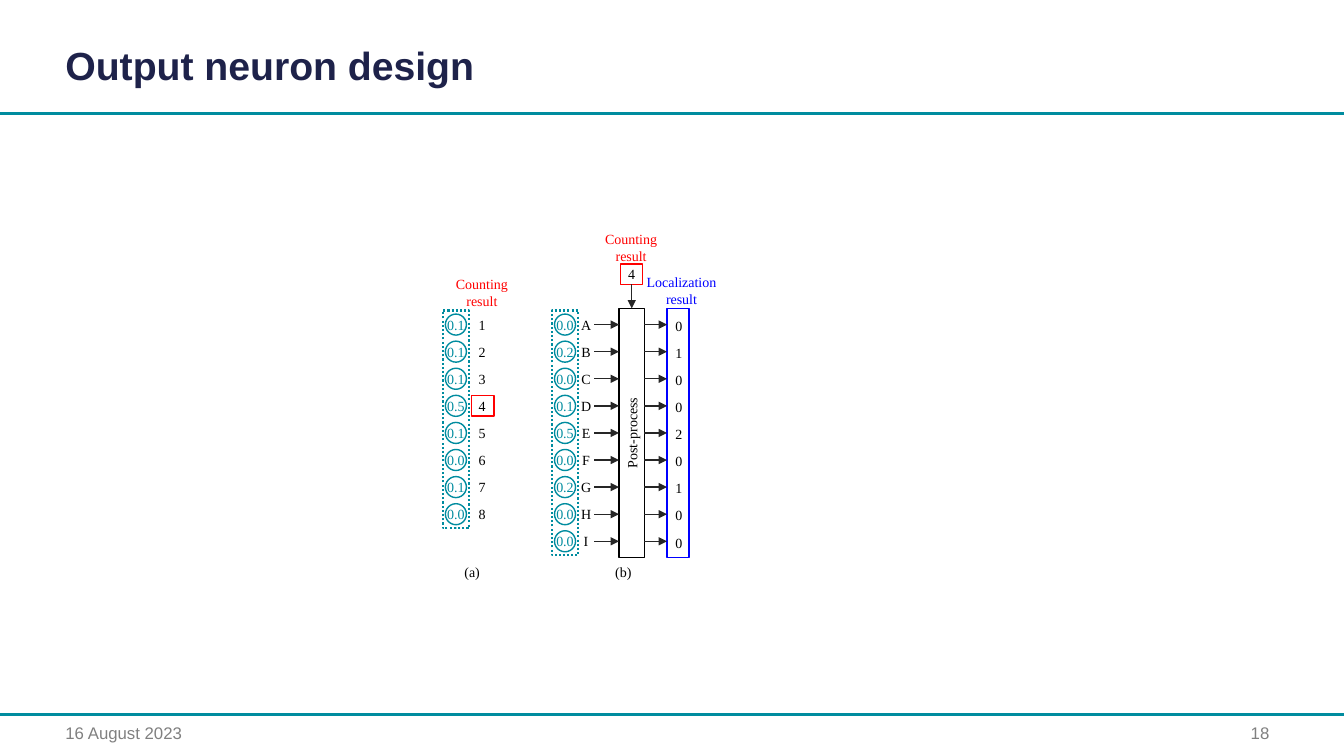
from pptx import Presentation, util as u
from pptx.dml.color import RGBColor
from pptx.enum import dml, shapes, text
from pptx.oxml import parse_xml
from pptx.oxml.ns import nsdecls, qn

# Content
TITLE = "Output neuron design"
DATE, PAGE = "16 August 2023", "18"
COUNTS = ["0.1", "0.1", "0.1", "0.5", "0.1", "0.0", "0.1", "0.0"]
CELLS = ["0.0", "0.2", "0.0", "0.1", "0.5", "0.0", "0.2", "0.0", "0.0"]
LETTERS = "ABCDEFGHI"
RESULTS = "010020100"
RESULTS = "010020100"
PICK = 4
CAPTIONS = [  # lines, colour, left, top, width, height
    (["Counting", "result"], "FF0000", 11.23, 6.83, 1.83, 1.12),
    (["Counting", "result"], "FF0000", 14.99, 5.69, 1.83, 1.12),
    (["Localization", "result"], "0000FF", 16.03, 6.78, 2.29, 1.12),
    (["(a)"], "000000", 11.43, 14.07, 0.94, 0.69),
    (["(b)"], "000000", 15.24, 14.07, 0.94, 0.69),
]

# Layout in cm; X values are column centres
TEAL, BLACK, DARK, GREY = "008C9F", "000000", "262626", "808080"
SERIF, SANS = "Times New Roman", "Arial"
WIDE, HIGH = 33.87, 19.05
FIRST, PITCH, DOT = 8.18, 5.46 / 8, 0.53
X_COUNT, X_NUM, X_CELL, X_LETTER, X_POST, X_OUT = 11.49, 12.15, 14.24, 14.77, 15.92, 17.09
POST_W, OUT_W, TALL = 0.64, 0.56, 6.28
PICK_W, PICK_H, PICK_Y = 0.56, 0.51, 6.91
MID = 4  # row level with the middle of the tall boxes

deck = Presentation()
deck.slide_width, deck.slide_height = u.Cm(WIDE), u.Cm(HIGH)
page = deck.slides.add_slide(deck.slide_layouts[6])
RECT, OVAL = shapes.MSO_SHAPE.RECTANGLE, shapes.MSO_SHAPE.OVAL
LEFT, MIDDLE, RIGHT = text.PP_ALIGN.LEFT, text.PP_ALIGN.CENTER, text.PP_ALIGN.RIGHT


def paint(hue):
    return RGBColor.from_string(hue)


def row_y(row):
    return FIRST + row * PITCH


def write(frame, lines, hue, size=10, font=SERIF, align=MIDDLE, bold=False):
    for i, line in enumerate(lines):
        para = frame.paragraphs[0] if i == 0 else frame.add_paragraph()
        para.alignment = align
        run = para.add_run()
        run.text = line
        run.font.size, run.font.name, run.font.bold = u.Pt(size), font, bold
        run.font.color.rgb = paint(hue)


def label(lines, hue, x, y, w, h, wrap=False, **style):
    box = page.shapes.add_textbox(*map(u.Cm, (x, y, w, h)))
    box.text_frame.word_wrap = wrap
    write(box.text_frame, lines, hue, **style)
    return box.text_frame


def block(kind, x, y, w, h, edge=None, words="", hue=BLACK, pen=1):
    """Add an unfilled shape centred on x, y."""
    item = page.shapes.add_shape(kind, *map(u.Cm, (x - w / 2, y - h / 2, w, h)))
    item.shadow.inherit = False
    item.fill.background()
    if edge:
        item.line.color.rgb, item.line.width = paint(edge), u.Pt(pen)
    else:
        item.line.fill.background()
    if words:
        frame = item.text_frame
        frame.margin_left = frame.margin_right = frame.margin_top = frame.margin_bottom = 0
        frame.word_wrap = False
        frame.vertical_anchor = text.MSO_ANCHOR.MIDDLE
        write(frame, [words], hue)
    return item


def rule(x1, y1, x2, y2, hue, pen=1, head=False):
    line = page.shapes.add_connector(
        shapes.MSO_CONNECTOR.STRAIGHT, *map(u.Cm, (x1, y1, x2, y2)))
    line.line.color.rgb, line.line.width = paint(hue), u.Pt(pen)
    prop = line.element.spPr
    if head:
        prop.find(qn("a:ln")).append(
            parse_xml(f'<a:tailEnd {nsdecls("a")} type="triangle"/>'))
    prop.append(parse_xml(f'<a:effectLst {nsdecls("a")}/>'))
    return line


def column(x, values):
    """Add a dotted frame of neurons, one per row."""
    rows = len(values)
    for row, value in enumerate(values):
        block(OVAL, x, row_y(row), DOT, DOT, TEAL, value, TEAL)
    frame = block(RECT, x, row_y((rows - 1) / 2), 0.66, rows * PITCH + 0.03, TEAL, pen=1.5)
    frame.line.dash_style = dml.MSO_LINE.ROUND_DOT


# Page frame
for y in (2.85, 18.01):
    rule(0, y, WIDE, y, TEAL, 2)
head = label([TITLE], "1E224A", 1.4, 0.66, 25.37, 1.7, True,
             size=28, font=SANS, align=LEFT, bold=True)
head.vertical_anchor = text.MSO_ANCHOR.BOTTOM
head.paragraphs[0].line_spacing = 0.9
head.paragraphs[0].space_before = u.Pt(10)
label([DATE], GREY, 1.4, 18.08, 7.37, 1.02, True, size=12, font=SANS, align=LEFT)
label([PAGE], GREY, 23.93, 18.08, 8.31, 1.02, True, size=12, font=SANS, align=RIGHT)

# (a) counting
column(X_COUNT, COUNTS)
for row in range(len(COUNTS)):
    block(OVAL, X_NUM, row_y(row), DOT, DOT, words=str(row + 1))
block(RECT, X_NUM + 0.02, row_y(PICK - 1), PICK_W, PICK_H, "FF0000")

# (b) localization
column(X_CELL, CELLS)
pick = block(RECT, X_POST, PICK_Y, PICK_W, PICK_H, "FF0000", str(PICK))
post = block(RECT, X_POST, row_y(MID), POST_W, TALL, BLACK, "Post-process")
post.fill.solid()
post.fill.fore_color.rgb = paint("FFFFFF")
post.element.txBody.bodyPr.set("vert", "vert270")
out = block(RECT, X_OUT, row_y(MID), OUT_W, TALL, "0000FF")

down = rule(X_POST, PICK_Y + PICK_H / 2, X_POST, row_y(MID) - TALL / 2, DARK, head=True)
down.begin_connect(pick, 2)
down.end_connect(post, 0)

for row, (letter, result) in enumerate(zip(LETTERS, RESULTS)):
    y = row_y(row)
    block(OVAL, X_LETTER, y, DOT, DOT, words=letter)
    block(OVAL, X_OUT + 0.02, y + 0.03, DOT, DOT, words=result)
    enter = rule(X_LETTER + 0.2, y, X_POST - POST_W / 2, y, DARK, head=True)
    leave = rule(X_POST + POST_W / 2, y, X_OUT - OUT_W / 2, y, DARK, head=True)
    if row == MID:
        enter.end_connect(post, 1)
        leave.begin_connect(post, 3)
        leave.end_connect(out, 1)

for caption in CAPTIONS:
    label(*caption)

deck.save("out.pptx")
